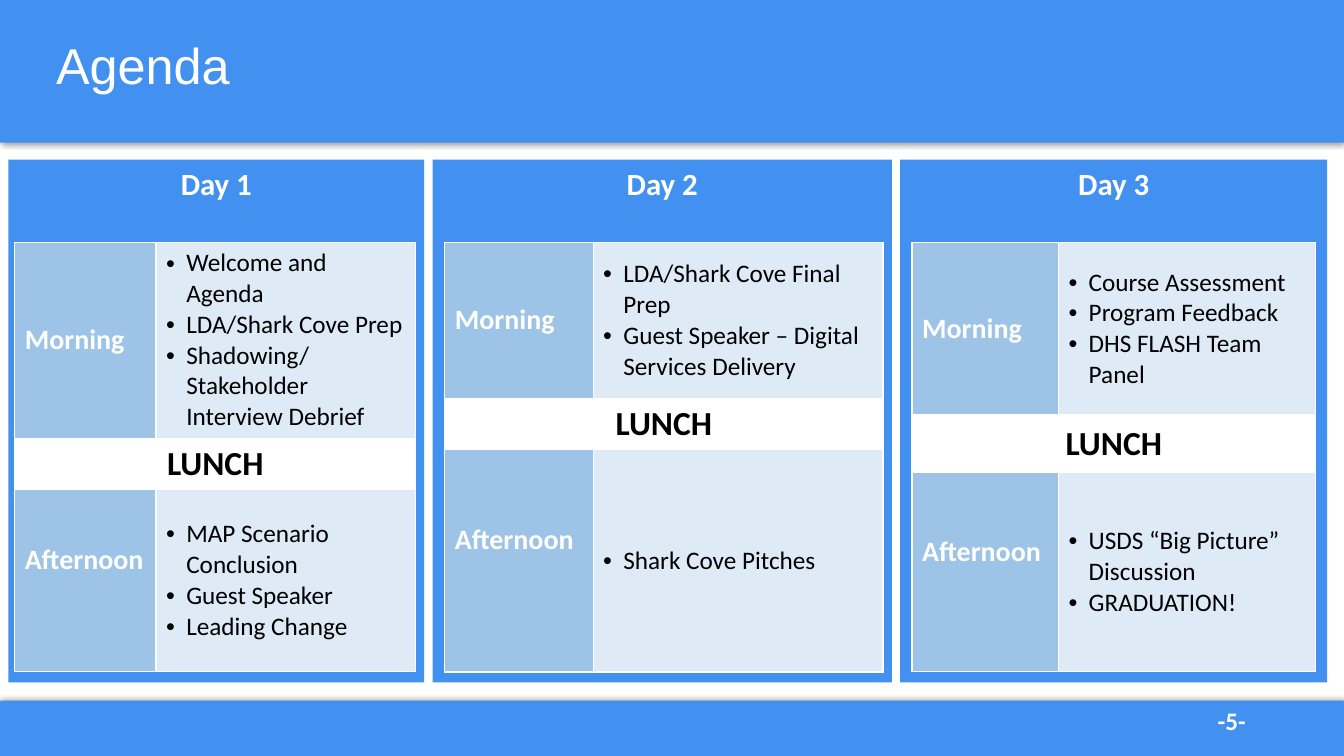
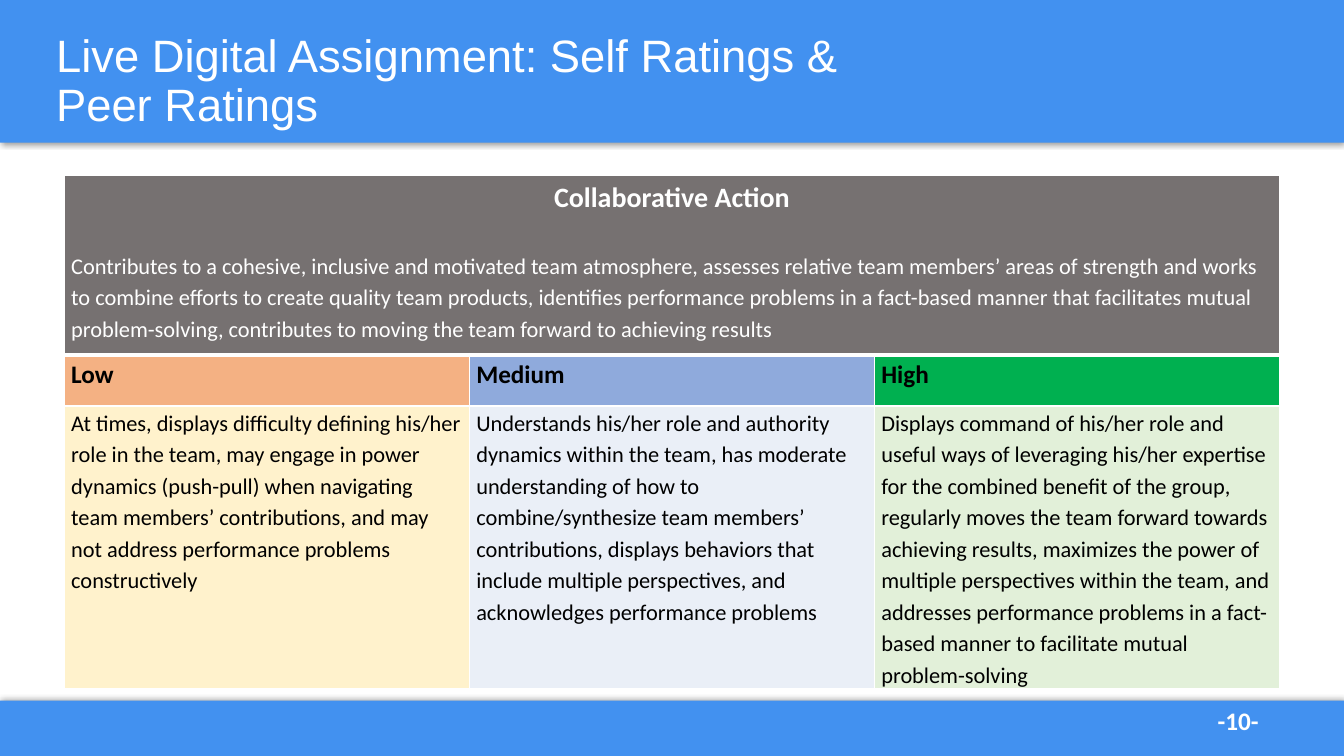
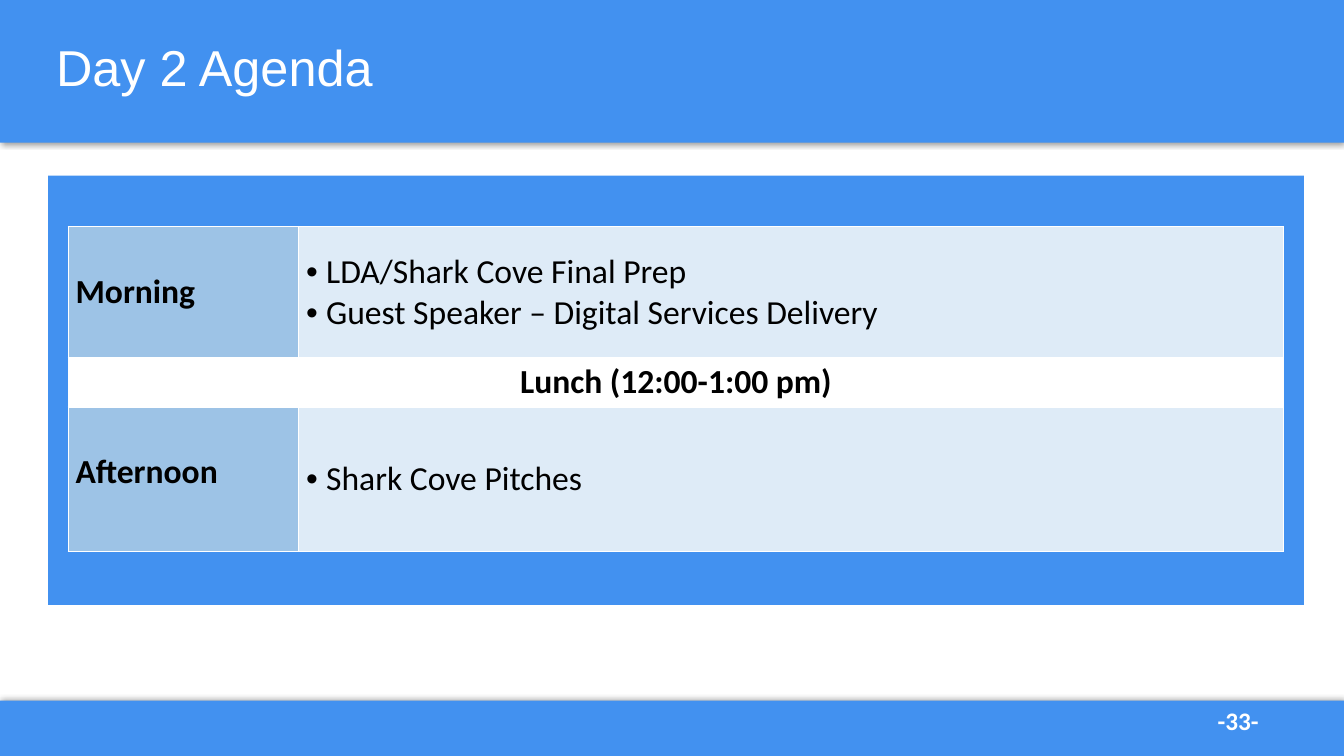
from dataclasses import dataclass
from lxml import etree
from pptx import Presentation
from pptx.dml.color import RGBColor as RGB
from pptx.enum.shapes import MSO_SHAPE as Shape
from pptx.enum.text import MSO_ANCHOR as Anchor, PP_ALIGN as Align
from pptx.oxml.ns import qn
from pptx.util import Pt


@dataclass(frozen=True)
class Theme:
    blue: str = "4291F0"
    mid: str = "9DC3E6"
    pale: str = "DEEBF7"
    gray: str = "767171"
    white: str = "FFFFFF"
    black: str = "000000"
    head: str = "Arial"
    body: str = "Calibri"
    title: float = 36
    small: float = 32.4
    day: float = 22
    label: float = 20
    text: float = 18
    note: float = 16
    big: float = 24
    indent: float = 14.4


T = Theme()
WIDE, HIGH = 960, 540
LEVELS = (("Low", "F4B183", "FFF2CC"),
          ("Medium", "8FAADC", "EAEFF7"),
          ("High", "00B050", "E2F0D9"))


def node(root, tag, **attrs):
    item = etree.SubElement(root, qn(tag))
    for key, val in attrs.items():
        item.set(key, str(val))
    return item


def ink(para, size, color, bold=False, font=T.body):
    for run in para.runs:
        face = run.font
        face.name, face.size, face.bold = font, Pt(size), bold
        face.color.rgb = RGB.from_string(color)


def block(slide, left, top, width, height):
    rect = slide.shapes.add_shape(Shape.RECTANGLE, Pt(left), Pt(top), Pt(width), Pt(height))
    rect.shadow.inherit = False
    rect.fill.solid()
    rect.fill.fore_color.rgb = RGB.from_string(T.blue)
    rect.line.fill.background()
    return rect


def band(slide, top, height, turn):
    rect = block(slide, 0, top, WIDE, height)
    effect = rect._element.spPr.find(qn("a:effectLst"))
    shade = node(effect, "a:outerShdw", blurRad=Pt(4), dist=Pt(1), dir=turn * 60000,
                 algn="ctr", rotWithShape=0)
    tint = node(shade, "a:srgbClr", val=T.black)
    node(tint, "a:alpha", val=40000)


def words(slide, text, left, top, width, height):
    frame = slide.shapes.add_textbox(Pt(left), Pt(top), Pt(width), Pt(height)).text_frame
    frame.word_wrap = True
    para = frame.paragraphs[0]
    para.text = text
    return frame, para


def page(deck, title, number, top=-2, height=104, size=T.title):
    slide = deck.slides.add_slide(deck.slide_layouts[6])
    band(slide, 500.4, 39.6, 270)
    band(slide, 0, 102, 90)
    frame, para = words(slide, f"-{number}-", 862.6, 500.4, 70, 29)
    ink(para, T.text, T.white, True)
    frame, para = words(slide, title, 33, top, 894, height)
    frame.vertical_anchor = Anchor.MIDDLE
    para.line_spacing = 0.9
    ink(para, size, T.white, font=T.head)
    return slide


def grid(slide, left, top, cols, rows):
    table = slide.shapes.add_table(len(rows), len(cols), Pt(left), Pt(top),
                                   Pt(sum(cols)), Pt(sum(rows))).table
    table.first_row = table.horz_banding = False
    for col, width in zip(table.columns, cols):
        col.width = Pt(width)
    for row, height in zip(table.rows, rows):
        row.height = Pt(height)
    for cell in table.iter_cells():
        for side in "LRTB":
            edge(cell, side, 1)
    return table


def edge(cell, side, width):
    props = cell._tc.get_or_add_tcPr()
    line = props.find(qn(f"a:ln{side}"))
    if line is None:
        line = node(props, f"a:ln{side}")
        node(node(line, "a:solidFill"), "a:srgbClr", val=T.white)
    line.set("w", str(Pt(width)))


def fill(cell, lines, back, size, color=T.black, bold=False, pad=(7.2, 3.6),
         anchor=Anchor.MIDDLE):
    cell.fill.solid()
    cell.fill.fore_color.rgb = RGB.from_string(back)
    cell.margin_left = cell.margin_right = Pt(pad[0])
    cell.margin_top = cell.margin_bottom = Pt(pad[1])
    cell.vertical_anchor = anchor
    frame = cell.text_frame
    frame.text = "\n".join(lines)
    for para in frame.paragraphs:
        ink(para, size, color, bold)
    return frame.paragraphs


def dots(paras):
    for para in paras:
        props = para._p.get_or_add_pPr()
        props.set("marL", str(Pt(T.indent)))
        props.set("indent", str(-Pt(T.indent)))
        node(props, "a:buFont", typeface="Arial")
        node(props, "a:buChar", char="•")


def plan(slide, left, top, cols, rows, parts, lunch, sizes, color, pad, lift):
    table = grid(slide, left, top, cols, rows)
    label, text = sizes
    for row, name, items in zip((0, 2), ("Morning", "Afternoon"), parts):
        fill(table.cell(row, 0), [name], T.mid, label, color, True, pad)
        dots(fill(table.cell(row, 1), items, T.pale, text, pad=pad))
    table.cell(2, 0).margin_bottom = Pt(pad[1] + lift)
    noon = table.cell(1, 0)
    noon.merge(table.cell(1, 1))
    fill(noon, [lunch], T.white, T.big, bold=True, pad=pad)[0].alignment = Align.CENTER


def day(slide, name, left, width, inset, cols, rows, parts):
    top = 114
    panel = block(slide, left, top, width, 373.5)
    frame = panel.text_frame
    frame.vertical_anchor = Anchor.TOP
    frame.text = name
    para = frame.paragraphs[0]
    para.alignment = Align.CENTER
    ink(para, T.day, T.white, True)
    plan(slide, left + inset, top + 59, cols, rows, parts, "LUNCH",
         (T.label, T.text), T.white, (7.2, 3.6), 29)


def week(deck):
    slide = page(deck, "Agenda", 5, top=-3)
    days = (
        (297, 4.5, (101, 185.6), (140, 36.7, 129.8),
         (("Welcome and Agenda", "LDA/Shark Cove Prep",
           "Shadowing/ Stakeholder Interview Debrief"),
          ("MAP Scenario Conclusion", "Guest Speaker", "Leading Change"))),
        (328, 8.7, (106, 207), (111.5, 36.5, 159),
         (("LDA/Shark Cove Final Prep", "Guest Speaker – Digital Services Delivery"),
          ("Shark Cove Pitches",))),
        (305, 8.5, (104.6, 183.6), (123.5, 41.2, 141.8),
         (("Course Assessment", "Program Feedback", "DHS FLASH Team Panel"),
          ("USDS “Big Picture” Discussion", "GRADUATION!"))),
    )
    gap = left = 6
    for count, (width, *rest) in enumerate(days, 1):
        day(slide, f"Day {count}", left, width, *rest)
        left += width + gap


def rate(slide, left, top, width, name, about, notes):
    table = grid(slide, left, top, [width / 3] * 3, (128, 36.5, 202))
    pad = (4.9, 0)
    head = table.cell(0, 0)
    head.merge(table.cell(0, 2))
    paras = fill(head, [name, about], T.gray, T.note, T.white, pad=pad, anchor=Anchor.TOP)
    ink(paras[0], T.label, T.white, True)
    paras[0].alignment = Align.CENTER
    spaced = list(paras)
    for col, ((level, dark, light), note) in enumerate(zip(LEVELS, notes)):
        edge(table.cell(0, col), "B", 3)
        edge(table.cell(1, col), "T", 3)
        tops = fill(table.cell(1, col), [level], dark, T.text, bold=True, pad=pad,
                    anchor=Anchor.TOP)
        tops[0].line_spacing = 1.15
        spaced += fill(table.cell(2, col), [note], light, T.note, pad=pad, anchor=Anchor.TOP)
    for para in spaced:
        para.line_spacing = 1.15
        para.space_before = para.space_after = Pt(12)


def ratings(deck):
    slide = page(deck, "Live Digital Assignment: Self Ratings &\nPeer Ratings", 10,
                 top=21.6, height=75, size=T.small)
    rate(slide, 46, 125.5, 868, "Collaborative Action",
         "Contributes to a cohesive, inclusive and motivated team atmosphere, assesses "
         "relative team members’ areas of strength and works to combine efforts to create "
         "quality team products, identifies performance problems in a fact-based manner "
         "that facilitates mutual problem-solving, contributes to moving the team forward "
         "to achieving results",
         ("At times, displays difficulty defining his/her role in the team, may engage in "
          "power dynamics (push-pull) when navigating team members’ contributions, and may "
          "not address performance problems constructively",
          "Understands his/her role and authority dynamics within the team, has moderate "
          "understanding of how to combine/synthesize team members’ contributions, displays "
          "behaviors that include multiple perspectives, and acknowledges performance "
          "problems",
          "Displays command of his/her role and useful ways of leveraging his/her expertise "
          "for the combined benefit of the group, regularly moves the team forward towards "
          "achieving results, maximizes the power of multiple perspectives within the team, "
          "and addresses performance problems in a fact-based manner to facilitate mutual "
          "problem-solving"))


def second(deck):
    slide = page(deck, "Day 2 Agenda", 33)
    left, top = 34.4, 125.5
    block(slide, left, top, 897, 306.5)
    plan(slide, left + 14.4, top + 36.3, (164.6, 703.6), (93.8, 35.2, 103),
         (("LDA/Shark Cove Final Prep", "Guest Speaker – Digital Services Delivery"),
          ("Shark Cove Pitches",)),
         "Lunch (12:00-1:00 pm)", (T.big, T.big), T.black, (5.2, 2.6), 10)


def main():
    deck = Presentation()
    deck.slide_width, deck.slide_height = Pt(WIDE), Pt(HIGH)
    week(deck)
    ratings(deck)
    second(deck)
    deck.save("out.pptx")


if __name__ == "__main__":
    main()
